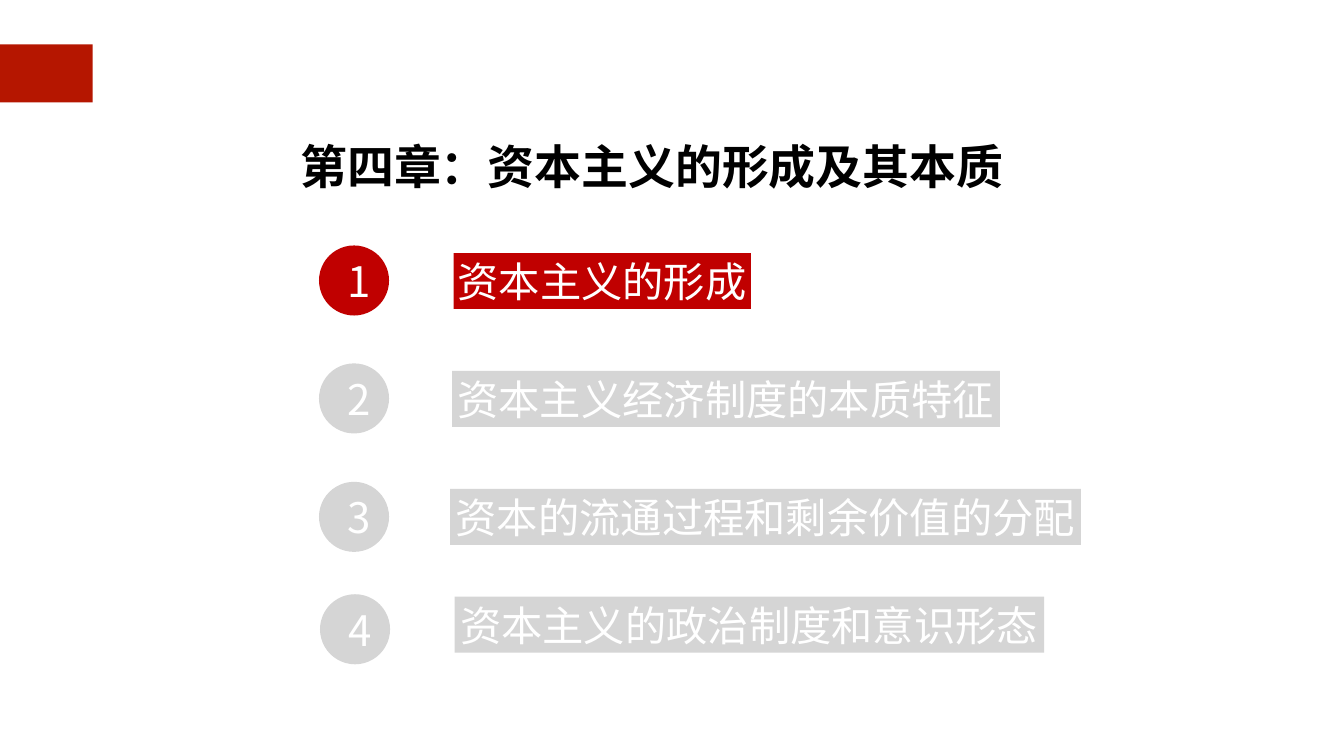
"""Build the chapter four contents slide with its first section highlighted."""
from dataclasses import dataclass

import lxml.etree
import pptx
import pptx.dml.color
import pptx.enum.shapes
import pptx.enum.text
import pptx.oxml.ns
import pptx.util

PX = 9144
SHAPE = pptx.enum.shapes.MSO_SHAPE
ALIGN = pptx.enum.text.PP_ALIGN
AUTO = pptx.enum.text.MSO_AUTO_SIZE


@dataclass(frozen=True)
class Theme:
    font: str = "Noto Sans CJK SC"
    accent: str = "B51600"
    active: str = "C00000"
    muted: str = "D5D5D5"
    ink: str = "000000"
    paper: str = "FFFFFF"
    title_size: int = 67
    number_size: int = 60
    label_size: int = 59


class Deck:
    def __init__(self, theme, width, height):
        self.t = theme
        self.prs = pptx.Presentation()
        self.prs.slide_width, self.prs.slide_height = width * PX, height * PX
        self.s = self.prs.slides.add_slide(self.prs.slide_layouts[6])

    def color(self, value):
        return pptx.dml.color.RGBColor.from_string(value)

    def shape(self, kind, box, fill):
        sp = self.s.shapes.add_shape(kind, *(v * PX for v in box))
        sp.shadow.inherit = False
        sp.fill.solid()
        sp.fill.fore_color.rgb = self.color(fill)
        sp.line.fill.background()
        return sp

    def text(self, sp, text, size, color, insets, align=ALIGN.CENTER, bold=False, grow=True):
        tf = sp.text_frame
        tf.margin_left, tf.margin_top, tf.margin_right, tf.margin_bottom = (v * PX for v in insets)
        tf.vertical_anchor = pptx.enum.text.MSO_ANCHOR.MIDDLE
        tf.word_wrap = not grow
        tf.auto_size = AUTO.SHAPE_TO_FIT_TEXT if grow else AUTO.NONE
        p = tf.paragraphs[0]
        p.text, p.alignment = text, align
        f = p.font
        f.name, f.size, f.bold = self.t.font, pptx.util.Pt(size), bold
        f.color.rgb = self.color(color)
        qn = pptx.oxml.ns.qn
        props = p._p.pPr.find(qn("a:defRPr"))
        lxml.etree.SubElement(props, qn("a:ea"), typeface=self.t.font)
        return p

    def title(self, box, text):
        sp = self.s.shapes.add_textbox(*(v * PX for v in box))
        p = self.text(sp, text, self.t.title_size, self.t.ink, (6, 6, 6, 6), ALIGN.LEFT, bold=True)
        p.line_spacing = 1.5

    def number(self, left, top, number, fill):
        sp = self.shape(SHAPE.OVAL, (left, top, 139, 139), fill)
        self.text(sp, str(number), self.t.number_size, self.t.paper, (19, 0, 0, 0), grow=False)

    def label(self, left, top, width, text, fill):
        sp = self.shape(SHAPE.RECTANGLE, (left, top, width, 111), fill)
        self.text(sp, text, self.t.label_size, self.t.paper, (6, 6, 6, 6))


SECTIONS = [
    ("资本主义的形成", (633, 487), (900, 502, 590)),
    ("资本主义经济制度的本质特征", (633, 721), (897, 736, 1087)),
    ("资本的流通过程和剩余价值的分配", (633, 956), (893, 970, 1252)),
    ("资本主义的政治制度和意识形态", (635, 1179), (902, 1184, 1170)),
]


def main():
    theme = Theme()
    deck = Deck(theme, 2667, 1500)
    deck.shape(SHAPE.RECTANGLE, (-3, 88, 187, 115), theme.accent)
    deck.title((590, 210, 1421, 180), "第四章：资本主义的形成及其本质")
    for number, (text, circle, bar) in enumerate(SECTIONS, 1):
        fill = theme.active if number == 1 else theme.muted
        deck.number(*circle, number, fill)
        deck.label(*bar, text, fill)
    deck.prs.save("out.pptx")


if __name__ == "__main__":
    main()
